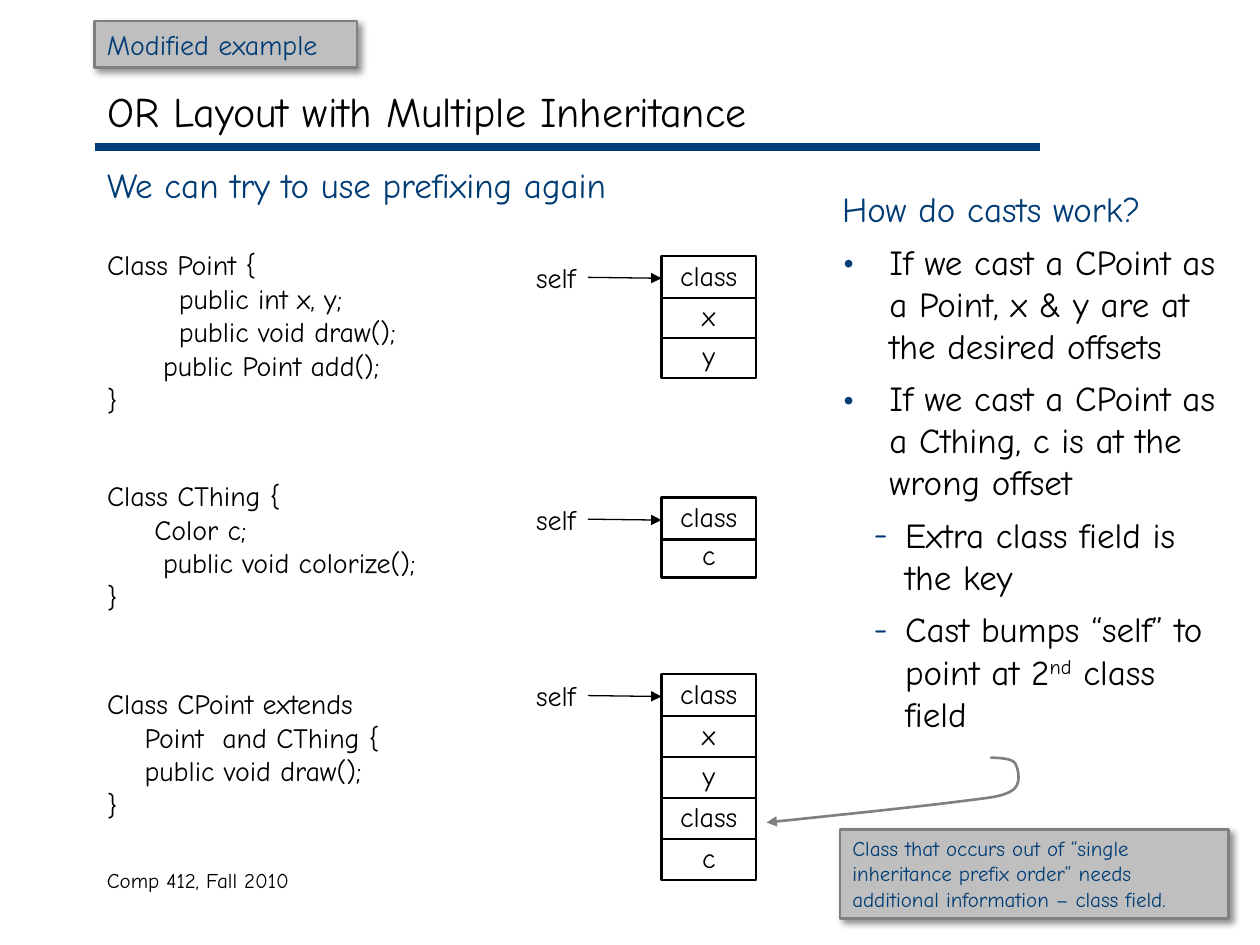
from lxml import etree
from pptx import Presentation
from pptx import util as u
from pptx.dml import color
from pptx.enum import shapes, text
from pptx.oxml import ns

FONT = "Comic Neue"
BLACK, WHITE, NAVY, GRAY, SILVER = "000000", "FFFFFF", "003C75", "808080", "BFBFBF"
LEFT, RIGHT, CENTER = text.PP_ALIGN.LEFT, text.PP_ALIGN.RIGHT, text.PP_ALIGN.CENTER

# Each line: text, indent, space before, size, colour
CODE = [
    ("We can try to use prefixing again", 0, 0, 20, NAVY),
    ("Class Point {", 0, 24, 16, BLACK),
    ("public int x, y;", 41, 0, 16, BLACK),
    ("public void draw();", 41, 0, 16, BLACK),
    ("public Point add();", 32, 0, 16, BLACK),
    ("}", 0, 0, 16, BLACK),
    ("Class CThing {", 0, 36, 16, BLACK),
    ("Color c;", 27, 0, 16, BLACK),
    ("public void colorize();", 32, 0, 16, BLACK),
    ("}", 0, 0, 16, BLACK),
    ("Class CPoint extends", 0, 42, 16, BLACK),
    ("Point  and CThing {", 21.5, 0, 16, BLACK),
    ("public void draw();", 21.5, 0, 16, BLACK),
    ("}", 0, 0, 16, BLACK),
]

# Each item: level, text before, superscript, text after
CASTS = [
    (0, "If we cast a CPoint as a Point, x & y are at the desired offsets", "", ""),
    (0, "If we cast a CPoint as a Cthing, c is at the wrong offset", "", ""),
    (1, "Extra class field is the key", "", ""),
    (1, "Cast bumps “self” to point at 2", "nd", " class field"),
]

# Each record: top, row pitch, fields
RECORDS = [
    (146.2, 22.9, ["class", "x", "y"]),
    (284.4, 21.6, ["class", "c"]),
    (385.2, 23.4, ["class", "x", "y", "class", "c"]),
]

# Bezier segments of the pointer that follow its start
POINTER_START = (565.9, 432.9)
POINTER_CURVES = [
    ((571.5, 433.2), (578.5, 433.2), (580.3, 436.5)),
    ((582, 440), (584, 448.5), (578, 452)),
    ((571.5, 455.5), (567.5, 455.5), (544, 458.5)),
    ((520.5, 461.5), (438, 470), (438, 470)),
]


def rgb(value):
    return color.RGBColor.from_string(value)


def place(shape, left, top, width, height):
    shape.left, shape.top = u.Pt(left), u.Pt(top)
    shape.width, shape.height = u.Pt(width), u.Pt(height)


def add_child(parent, tag, **attributes):
    child = etree.SubElement(parent, ns.qn(tag))
    for name, value in attributes.items():
        child.set(name, str(value))
    return child


def add_run(para, words, size, tint):
    span = para.add_run()
    span.text = words
    span.font.name = FONT
    span.font.size = u.Pt(size)
    span.font.color.rgb = rgb(tint)
    return span


def prepare_frame(box, anchor=text.MSO_ANCHOR.TOP):
    frame = box.text_frame
    frame.word_wrap = True
    frame.auto_size = text.MSO_AUTO_SIZE.NONE
    frame.vertical_anchor = anchor
    return frame


def set_text(box, words, size, tint, align=LEFT, anchor=text.MSO_ANCHOR.TOP):
    para = prepare_frame(box, anchor).paragraphs[0]
    para.alignment = align
    add_run(para, words, size, tint)


def next_paragraph(frame):
    """Return the unused first paragraph, or a new one."""
    first = frame.paragraphs[0]
    return frame.add_paragraph() if first.runs else first


def format_paragraph(para, margin=0, indent=0, before=0, bullet=None, bullet_size=100):
    para.alignment = LEFT
    para.space_before = u.Pt(before)
    props = para._p.get_or_add_pPr()
    props.set("marL", str(u.Pt(margin)))
    props.set("indent", str(u.Pt(indent)))
    if bullet is None:
        add_child(props, "a:buNone")
        return
    add_child(add_child(props, "a:buClr"), "a:srgbClr", val=NAVY)
    add_child(props, "a:buSzPct", val=bullet_size * 1000)
    add_child(props, "a:buFont", typeface=FONT)
    add_child(props, "a:buChar", char=bullet)


def add_text(page, words, area, size, align=LEFT):
    box = page.shapes.add_textbox(*map(u.Pt, area))
    set_text(box, words, size, BLACK, align)


def add_box(page, area, fill, line):
    box = page.shapes.add_shape(shapes.MSO_SHAPE.RECTANGLE, *map(u.Pt, area))
    box.shadow.inherit = False
    box.fill.solid()
    box.fill.fore_color.rgb = rgb(fill)
    box.line.color.rgb = rgb(line)
    box.line.width = u.Pt(1.5)
    return box


def add_callout(page, words, area, size):
    box = add_box(page, area, SILVER, GRAY)
    effects = box._element.spPr.find(ns.qn("a:effectLst"))
    shadow = add_child(effects, "a:outerShdw", blurRad=u.Pt(4), dist=u.Pt(3),
                       dir=45 * 60000, algn="tl", rotWithShape=0)
    add_child(add_child(shadow, "a:srgbClr", val=BLACK), "a:alpha", val=43000)
    set_text(box, words, size, NAVY)


def add_arrowhead(shape):
    add_child(shape.line._get_or_add_ln(), "a:tailEnd", type="triangle")


def add_line(page, start, end, tint, width):
    line = page.shapes.add_connector(
        shapes.MSO_CONNECTOR.STRAIGHT, *map(u.Pt, (*start, *end)))
    line.line.color.rgb = rgb(tint)
    line.line.width = u.Pt(width)
    add_child(line._element.spPr, "a:effectLst")
    return line


def add_record(page, top, pitch, fields):
    add_text(page, "self", (288, top - 0.7, 48, 26.6), 16, RIGHT)
    add_arrowhead(add_line(page, (336, top + 12.3), (378, top + 12.8), BLACK, 0.75))
    for row, field in reversed(list(enumerate(fields))):
        cell = add_box(page, (378, top + row * pitch, 54, 24), WHITE, BLACK)
        set_text(cell, field, 16, BLACK, CENTER, text.MSO_ANCHOR.BOTTOM)


def curve_points(start, curves, steps=8):
    """Sample a chain of cubic Bezier curves, leaving out the start."""
    points = []
    for first, second, end in curves:
        for step in range(1, steps + 1):
            t = step / steps
            weights = ((1 - t) ** 3, 3 * t * (1 - t) ** 2, 3 * t * t * (1 - t), t ** 3)
            points.append(tuple(
                sum(w * p[axis] for w, p in zip(weights, (start, first, second, end)))
                for axis in (0, 1)))
        start = end
    return points


def add_pointer(page):
    builder = page.shapes.build_freeform(
        *map(u.Pt, POINTER_START), scale=1.0)
    builder.add_line_segments(
        [(u.Pt(x), u.Pt(y)) for x, y in curve_points(POINTER_START, POINTER_CURVES)],
        close=False)
    pointer = builder.convert_to_shape()
    pointer.shadow.inherit = False
    pointer.fill.background()
    pointer.line.color.rgb = rgb(GRAY)
    pointer.line.width = u.Pt(1.5)
    add_arrowhead(pointer)


def fill_code(box):
    frame = prepare_frame(box)
    for words, margin, before, size, tint in CODE:
        para = next_paragraph(frame)
        format_paragraph(para, margin, 0, before)
        add_run(para, words, size, tint)


def fill_casts(box):
    frame = prepare_frame(box)
    heading = next_paragraph(frame)
    format_paragraph(heading)
    add_run(heading, "How do casts work?", 20, NAVY)
    for level, words, raised, rest in CASTS:
        para = next_paragraph(frame)
        para.level = level
        format_paragraph(para, *[(27, -27, 6, "•", 120), (36, -18, 6, "-")][level])
        add_run(para, words, 20, BLACK)
        if raised:
            span = add_run(para, raised, 20, BLACK)
            span.font._element.set("baseline", "30000")
            add_run(para, rest, 20, BLACK)


def main():
    deck = Presentation()
    deck.slide_width, deck.slide_height = u.Pt(720), u.Pt(540)
    page = deck.slides.add_slide(deck.slide_layouts.get_by_name("Two Content"))
    title, code, casts = page.placeholders
    place(title, 54, 42, 612, 42)
    set_text(title, "OR Layout with Multiple Inheritance", 24, BLACK,
             anchor=text.MSO_ANCHOR.MIDDLE)
    place(code, 54, 90, 348, 386.6)
    fill_code(code)
    place(casts, 474, 103.7, 234, 346.3)
    fill_casts(casts)
    add_line(page, (54, 84.2), (594, 84.2), NAVY, 4.5)
    add_text(page, "Comp 412, Fall 2010", (54, 492, 228, 36), 12)
    for record in RECORDS:
        add_record(page, *record)
    add_callout(page, "Modified example", (54, 12, 150, 26.6), 16)
    add_pointer(page)
    add_callout(page, "Class that occurs out of “single inheritance prefix order” needs "
                "additional information – class field.", (480, 474, 222, 51), 12)
    deck.save("out.pptx")


if __name__ == "__main__":
    main()
